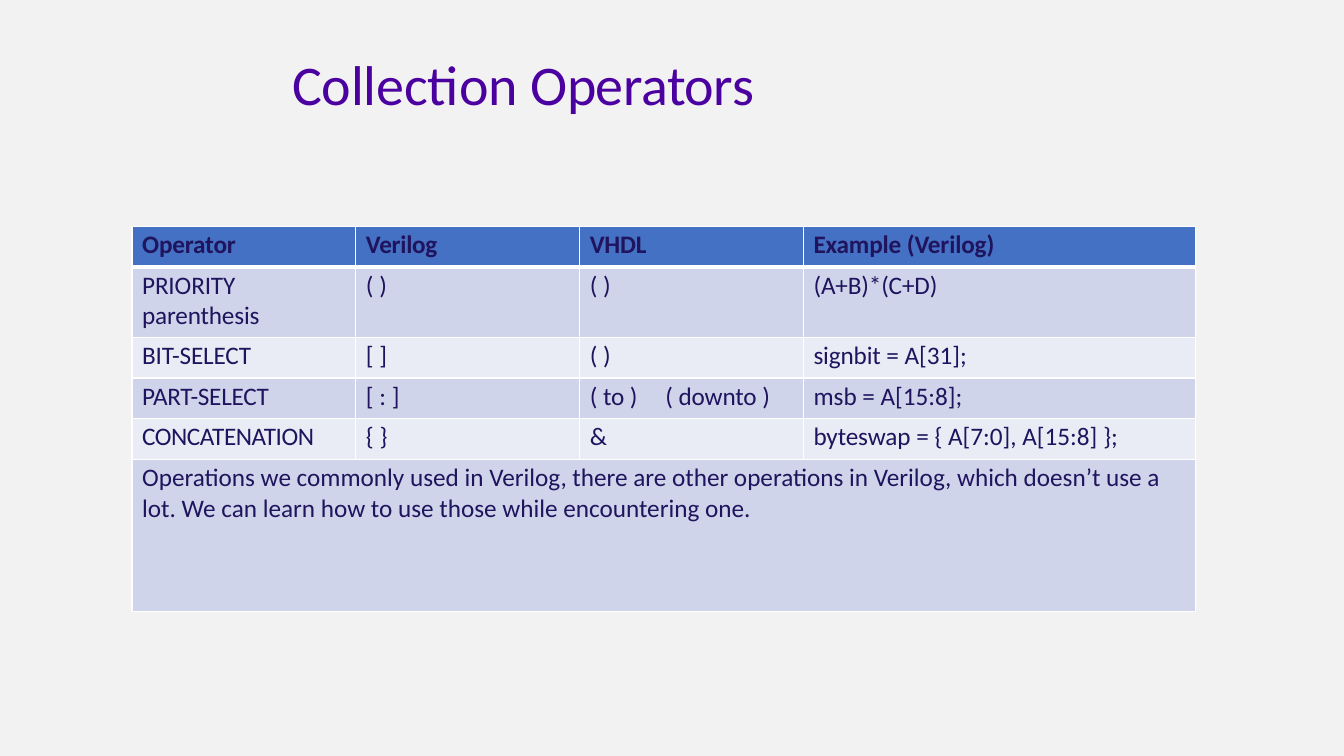
from dataclasses import dataclass

from lxml.etree import SubElement
from pptx import Presentation
from pptx.dml.color import RGBColor
from pptx.enum.text import MSO_ANCHOR
from pptx.oxml.ns import qn
from pptx.util import Inches, Pt

MIDDLE = MSO_ANCHOR.MIDDLE
TOP = MSO_ANCHOR.TOP


@dataclass(frozen=True)
class Theme:
    """Colours, font and type sizes of the slide."""
    font: str = "Calibri"
    background: str = "F2F2F2"
    title: str = "4B00A0"
    text: str = "1F145D"
    header: str = "4471C4"
    bands: tuple = ("CFD4EA", "E9EBF5")
    border: str = "FFFFFF"
    title_size: int = 40
    table_size: int = 18
    thin: int = 1
    thick: int = 3


COLUMN_WIDTHS = [2.22, 2.22, 2.22, 3.89]
ROW_HEIGHTS = [0.4, 0.7, 0.4, 0.4, 0.41, 1.51]
NOTE = (
    "Operations we commonly used in Verilog, there are other operations in Verilog, "
    "which doesn’t use a lot. We can learn how to use those while encountering one."
)
ROWS = [
    [[[("Operator", -0.1)]], [[("Verilog", -0.2)]], [[("VHDL", -0.1)]],
     [[("Example (Verilog)", -0.1)]]],
    [[[("PRIORITY", -0.1)], [("parenthesis", -0.1)]], [[("( )", 0)]], [[("( )", 0)]],
     [[("(A+B)*(C+D)", -0.1)]]],
    [[[("BIT-SELECT", -0.1)]], [[("[ ]", 0)]], [[("( )", 0)]],
     [[("signbit ", -0.1), ("= A[31];", 0)]]],
    [[[("PART-SELECT", -0.2)]], [[("[ : ]", 0)]],
     [[("( ", 0), ("to ", -0.1), (")\t(", 0), (" downto ", -0.1), (")", 0)]],
     [[("msb = A[15:8];", 0)]]],
    [[[("CONCATENATION", -0.3)]], [[("{ }", 0)]], [[("&", 0)]],
     [[("byteswap", -0.1), (" = { A[7:0], A[15:8] ", 0), ("};", -0.1)]]],
    [[[(NOTE, 0)]]],
]


class SlideBuilder:
    """Draws styled elements on the current slide."""

    def __init__(self, slide, theme):
        self.slide = slide
        self.theme = theme
        fill = slide.background.fill
        fill.solid()
        fill.fore_color.rgb = RGBColor.from_string(theme.background)

    def add_spans(self, para, spans, size, color, indent, bold=False):
        """Fill a paragraph with tracked runs."""
        para._p.get_or_add_pPr().set("marL", str(Inches(indent)))
        for text, tracking in spans:
            span = para.add_run()
            span.text = text
            span.font.name = self.theme.font
            span.font.size = Pt(size)
            span.font.bold = bold
            span.font.color.rgb = RGBColor.from_string(color)
            span.font._element.set("spc", str(round(tracking * 100)))

    def title(self, spans, left, top, width, height):
        """Add the slide title."""
        box = self.slide.shapes.add_textbox(*map(Inches, (left, top, width, height)))
        frame = box.text_frame
        frame.word_wrap = True
        frame.vertical_anchor = MIDDLE
        frame.margin_left = frame.margin_right = frame.margin_bottom = 0
        frame.margin_top = Inches(0.01)
        para = frame.paragraphs[0]
        para.space_before = Pt(1.1)
        self.add_spans(para, spans, self.theme.title_size, self.theme.title, 0.01)

    def borders(self, cell, row):
        """Draw the four cell borders, thick below the header."""
        properties = cell._tc.get_or_add_tcPr()
        thick_side = {0: "lnB", 1: "lnT"}.get(row)
        for side in ("lnL", "lnR", "lnT", "lnB"):
            width = self.theme.thick if side == thick_side else self.theme.thin
            line = SubElement(properties, qn(f"a:{side}"), w=str(Pt(width)))
            fill = SubElement(line, qn("a:solidFill"))
            SubElement(fill, qn("a:srgbClr"), val=self.theme.border)

    def cell(self, cell, row, paragraphs):
        """Style one table cell and fill in its paragraphs."""
        theme = self.theme
        self.borders(cell, row)
        cell.fill.solid()
        color = theme.bands[(row - 1) % 2] if row else theme.header
        cell.fill.fore_color.rgb = RGBColor.from_string(color)
        cell.vertical_anchor = TOP
        cell.margin_left = cell.margin_right = cell.margin_bottom = 0
        cell.margin_top = Inches(0.03)
        frame = cell.text_frame
        for index, spans in enumerate(paragraphs):
            para = frame.add_paragraph() if index else frame.paragraphs[0]
            para.space_before = Pt(0 if index else 2.5)
            self.add_spans(para, spans, theme.table_size, theme.text, 0.1, bold=row == 0)
            if any("\t" in text for text, tracking in spans):
                tabs = SubElement(para._p.get_or_add_pPr(), qn("a:tabLst"))
                SubElement(tabs, qn("a:tab"), pos=str(Inches(0.75)), algn="l")

    def table(self, rows, left, top, widths, heights):
        """Add a banded table; a row with one entry spans all columns."""
        table = self.slide.shapes.add_table(
            len(heights), len(widths), Inches(left), Inches(top),
            Inches(sum(widths)), Inches(sum(heights))).table
        table.first_row = table.horz_banding = False
        for column, width in zip(table.columns, widths):
            column.width = Inches(width)
        last = len(widths) - 1
        for row, (entries, height) in enumerate(zip(rows, heights)):
            table.rows[row].height = Inches(height)
            if len(entries) == 1:
                table.cell(row, 0).merge(table.cell(row, last))
            for column in range(len(widths)):
                paragraphs = entries[column] if column < len(entries) else []
                self.cell(table.cell(row, column), row, paragraphs)


def main():
    """Build the deck and save it."""
    deck = Presentation()
    deck.slide_width = Inches(13.33)
    deck.slide_height = Inches(7.5)
    page = SlideBuilder(deck.slides.add_slide(deck.slide_layouts[6]), Theme())
    page.title([("Collection ", -0.1), ("Operators", -0.3)], 2.89, 0.44, 5.07, 0.76)
    page.table(ROWS, 1.31, 2.25, COLUMN_WIDTHS, ROW_HEIGHTS)
    deck.save("out.pptx")


if __name__ == "__main__":
    main()
